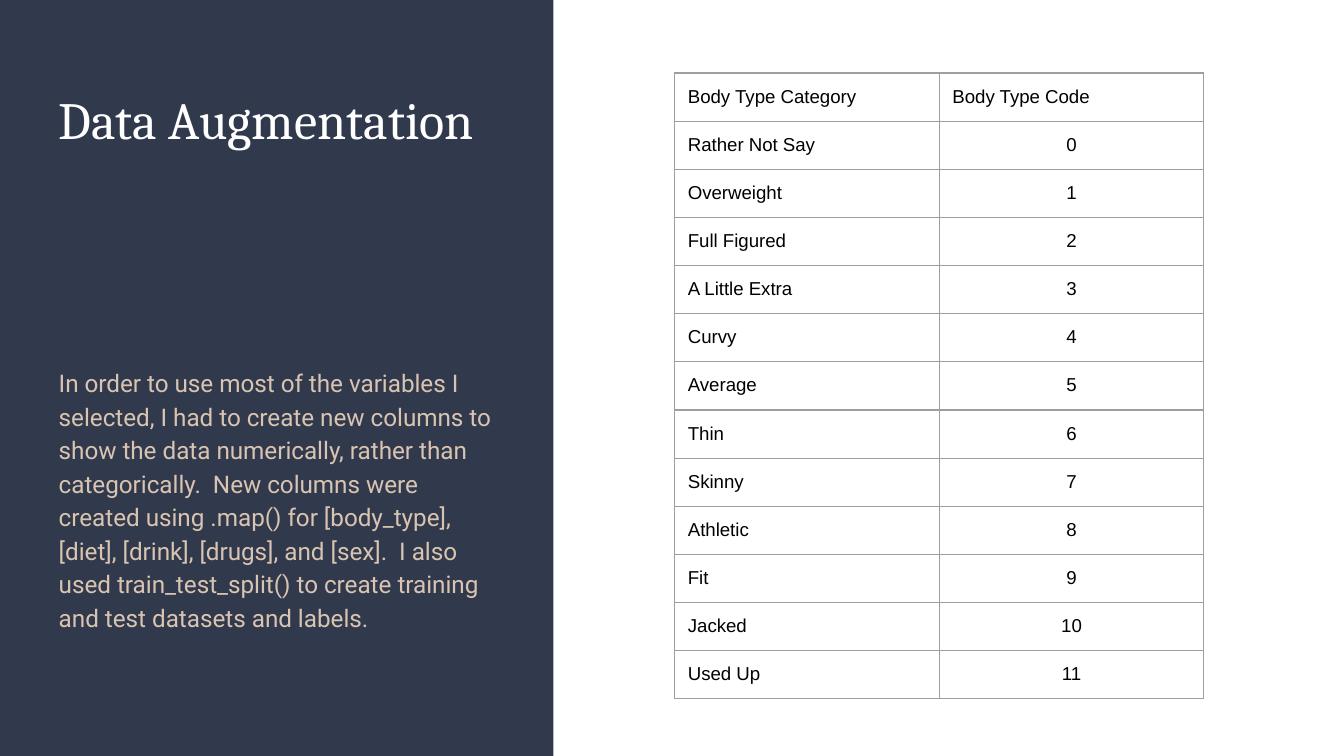
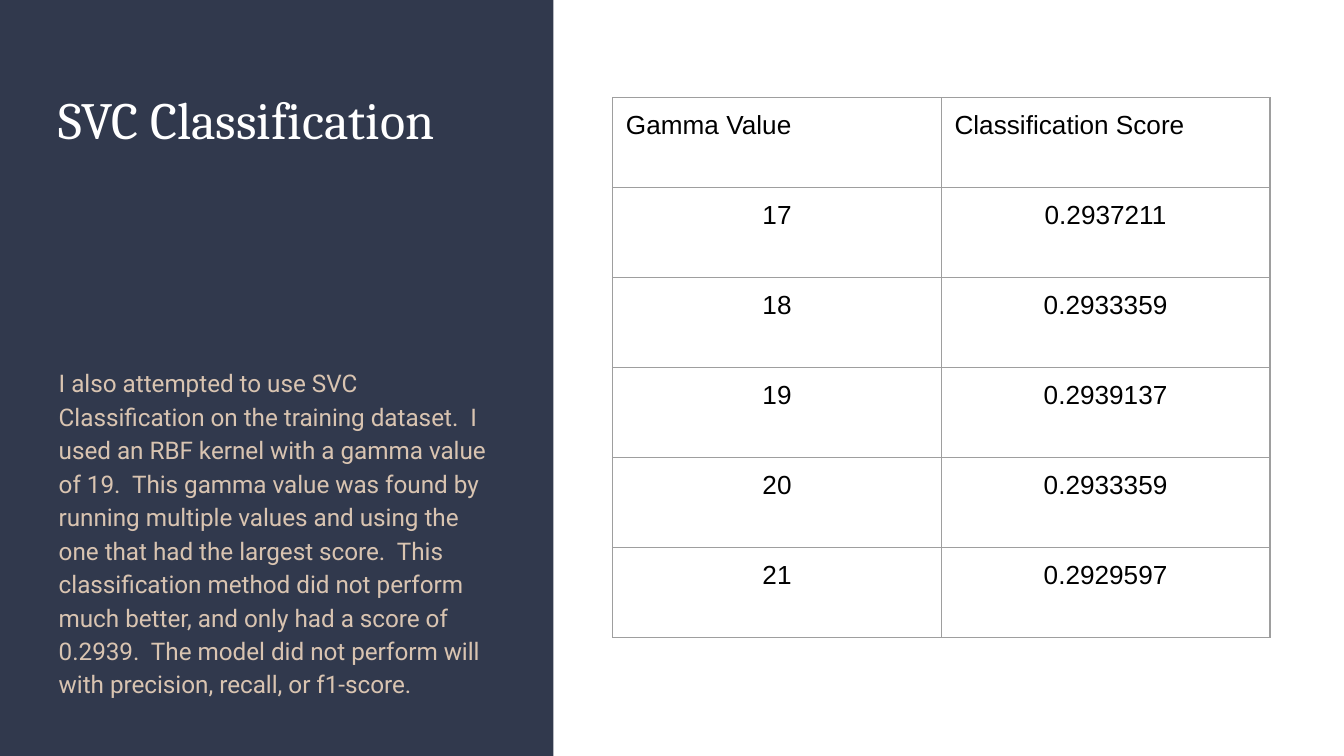
from lxml import etree
from pptx import Presentation
from pptx.dml.color import RGBColor
from pptx.enum.shapes import MSO_SHAPE
from pptx.enum.text import MSO_ANCHOR, MSO_AUTO_SIZE, PP_ALIGN
from pptx.oxml.ns import qn
from pptx.util import Cm, Pt

RECTANGLE = MSO_SHAPE.RECTANGLE
TOP = MSO_ANCHOR.TOP
NO_AUTOFIT = MSO_AUTO_SIZE.NONE
LEFT, CENTER = PP_ALIGN.LEFT, PP_ALIGN.CENTER

COLORS = {
    "band": "31394D",
    "title": "FFFFFF",
    "body": "D9C4B1",
    "cell": "000000",
    "border": "9E9E9E",
}
INSET = Cm(0.25)

# Content of each slide
body_types = ["Rather Not Say", "Overweight", "Full Figured", "A Little Extra",
              "Curvy", "Average", "Thin", "Skinny", "Athletic", "Fit",
              "Jacked", "Used Up"]
slides = [
    {
        "title": "Data Augmentation",
        "body": "In order to use most of the variables I selected, I had to "
                "create new columns to show the data numerically, rather than "
                "categorically.  New columns were created using .map() for "
                "[body_type], [diet], [drink], [drugs], and [sex].  I also used "
                "train_test_split() to create training and test datasets and "
                "labels.",
        "space_after": 16,
        "rows": [("Body Type Category", "Body Type Code")]
                + [(name, str(code)) for code, name in enumerate(body_types)],
        "aligns": (LEFT, CENTER),
        "left": 12.75, "top": 1.38, "col": 5, "row": 0.91, "size": 10,
    },
    {
        "title": "SVC Classification",
        "body": "I also attempted to use SVC Classification on the training "
                "dataset.  I used an RBF kernel with a gamma value of 19.  This "
                "gamma value was found by running multiple values and using the "
                "one that had the largest score.  This classification method did "
                "not perform much better, and only had a score of 0.2939.  The "
                "model did not perform will with precision, recall, or f1-score.",
        "space_after": 0,
        "rows": [("Gamma Value", "Classification Score"),
                 ("17", "0.2937211"), ("18", "0.2933359"), ("19", "0.2939137"),
                 ("20", "0.2933359"), ("21", "0.2929597")],
        "aligns": (CENTER, CENTER),
        "left": 11.58, "top": 1.85, "col": 6.21, "row": 1.7, "size": 14,
    },
]


def set_text(tf, text, font, size, color, align=LEFT):
    """Fill a text frame with one formatted paragraph."""
    tf.text = text
    p = tf.paragraphs[0]
    p.alignment = align
    r = p.runs[0]
    r.font.name = font
    r.font.size = Pt(size)
    r.font.bold = False
    r.font.color.rgb = RGBColor.from_string(COLORS[color])
    return p


def set_borders(cell):
    """Draw a thin line on all four sides of a table cell."""
    tcPr = cell._tc.get_or_add_tcPr()
    for i, side in enumerate(("a:lnL", "a:lnR", "a:lnT", "a:lnB")):
        ln = etree.Element(qn(side), w=str(Pt(0.75)))
        fill = etree.SubElement(ln, qn("a:solidFill"))
        etree.SubElement(fill, qn("a:srgbClr"), val=COLORS["border"])
        tcPr.insert(i, ln)


prs = Presentation()
prs.slide_width, prs.slide_height = Cm(25.4), Cm(14.29)
layout = prs.slide_layouts[1]

for n, data in enumerate(slides):
    s = prs.slides.add_slide(layout)

    # Dark band, shared through the layout
    if n == 0:
        band = s.shapes.add_shape(RECTANGLE, 0, 0, Cm(10.46), prs.slide_height)
        band.shadow.inherit = False
        band.fill.solid()
        band.fill.fore_color.rgb = RGBColor.from_string(COLORS["band"])
        band.line.fill.background()
        layout.shapes.element.insert(2, band.element)

    # Title and body
    title, body = s.shapes.title, s.placeholders[1]
    for sp, top, height in ((title, 1.4, 5.08), (body, 6.63, 6.38)):
        sp.left, sp.top = Cm(0.86), Cm(top)
        sp.width, sp.height = Cm(8.69), Cm(height)
        tf = sp.text_frame
        tf.word_wrap = True
        tf.auto_size = NO_AUTOFIT
        tf.vertical_anchor = TOP
        tf.margin_left = tf.margin_right = INSET
        tf.margin_top = tf.margin_bottom = INSET
    set_text(title.text_frame, data["title"], "Cambria", 28, "title")
    p = set_text(body.text_frame, data["body"], "Roboto", 13, "body")
    p.line_spacing = 1.15
    p.space_before = Pt(0)
    p.space_after = Pt(data["space_after"])
    pPr = p._p.get_or_add_pPr()
    pPr.set("marL", "0")
    pPr.set("indent", "0")
    etree.SubElement(pPr, qn("a:buNone"))

    # Table
    rows, aligns = data["rows"], data["aligns"]
    table = s.shapes.add_table(
        len(rows), len(aligns), Cm(data["left"]), Cm(data["top"]),
        Cm(data["col"] * len(aligns)), Cm(data["row"] * len(rows))).table
    table.first_row = table.horz_banding = False
    for column in table.columns:
        column.width = Cm(data["col"])
    for i, values in enumerate(rows):
        table.rows[i].height = Cm(data["row"])
        for j, value in enumerate(values):
            cell = table.cell(i, j)
            cell.margin_left = cell.margin_right = INSET
            cell.margin_top = cell.margin_bottom = INSET
            cell.fill.background()
            set_borders(cell)
            set_text(cell.text_frame, value, "Arial", data["size"], "cell",
                     aligns[j] if i else LEFT)

prs.save("out.pptx")
